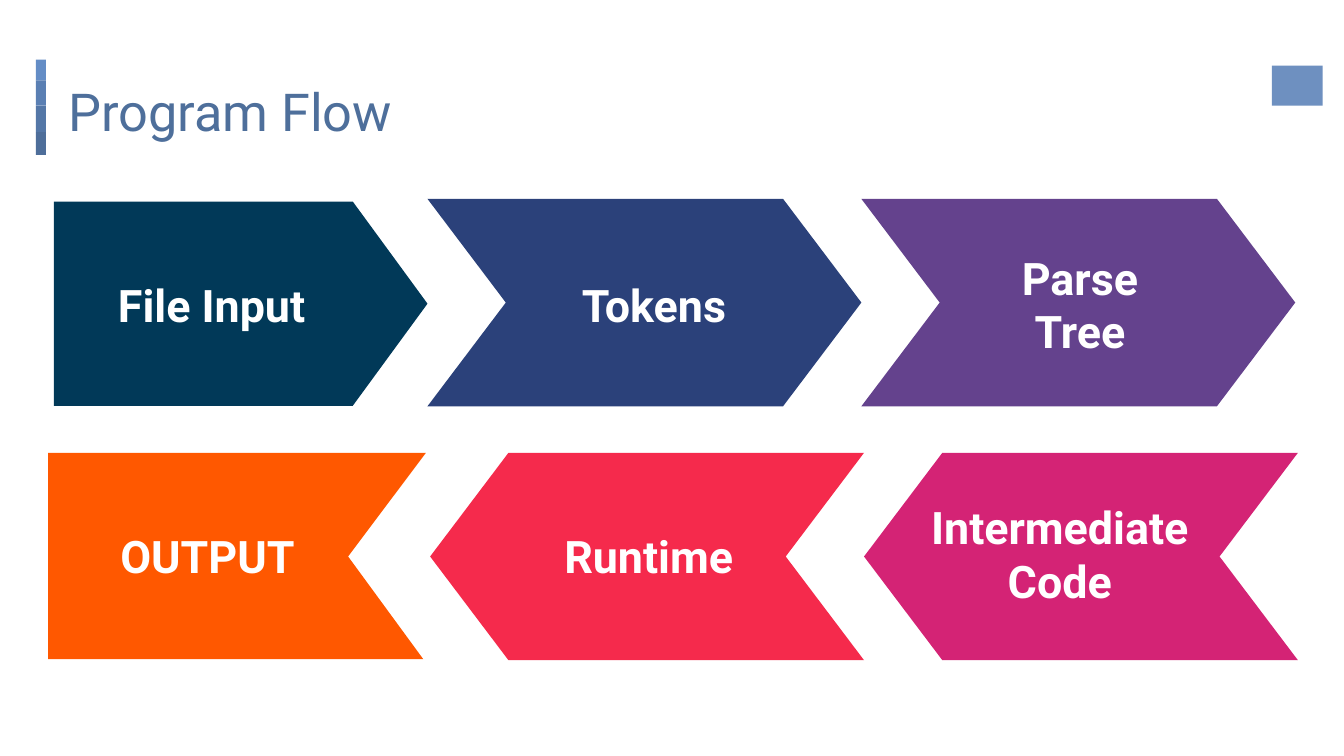
from dataclasses import dataclass

from pptx import Presentation
from pptx.dml.color import RGBColor
from pptx.enum.shapes import MSO_SHAPE as Shape
from pptx.enum.text import MSO_ANCHOR as Anchor, PP_ALIGN as Align
from pptx.util import Cm, Pt


@dataclass(frozen=True)
class Theme:
    font: str = "Roboto"
    title_size: int = 28
    label_size: int = 24
    title: str = "4E6F9B"
    label: str = "FFFFFF"
    mark: str = "6E90C0"


THEME = Theme()
TITLE = "Program Flow"

# Lengths are in centimetres.
BARS = [(1.13, 1.52, "648DC6"), (1.52, 2.0, "5A7FB3"),
        (2.0, 2.5, "5477A7"), (2.5, 2.93, "4E6E9A")]
CHEVRON_WIDTH, CHEVRON_HEIGHT, NOTCH = 8.2, 3.92, 1.48
TOP_ROW = {"left": 8.08, "top": 3.76, "points_right": True,
           "colors": ["2B417A", "64428D"]}
BOTTOM_ROW = {"left": 8.13, "top": 8.56, "points_right": False,
              "colors": ["F52A4C", "D42375"]}
INPUT = {"left": 1.02, "top": 3.81, "width": 7.06, "height": 3.86, "color": "013958"}
OUTPUT = {"points": [(8.05, 8.56), (6.58, 10.52), (8.0, 12.46), (0.91, 12.46), (0.91, 8.56)],
          "color": "FF5800"}
LABEL_WIDTH, LABEL_HEIGHT = 4.45, 1.6
LABELS = [  # text, centre x, centre y, width
    ("File Input", 4.0, 5.75, LABEL_WIDTH),
    ("Tokens", 12.36, 5.75, LABEL_WIDTH),
    ("Parse Tree", 20.41, 5.75, LABEL_WIDTH),
    ("Intermediate Code", 20.03, 10.46, 5.87),
    ("Runtime", 12.26, 10.5, LABEL_WIDTH),
    ("OUTPUT", 3.92, 10.5, LABEL_WIDTH),
]


def paint(shape, color):
    shape.shadow.inherit = False
    shape.fill.solid()
    shape.fill.fore_color.rgb = RGBColor.from_string(color)
    shape.line.fill.background()


def add_preset(slide, kind, left, top, width, height, color):
    shape = slide.shapes.add_shape(kind, Cm(left), Cm(top), Cm(width), Cm(height))
    paint(shape, color)
    return shape


def add_polygon(slide, points, color):
    corners = [(Cm(x), Cm(y)) for x, y in points]
    builder = slide.shapes.build_freeform(*corners[0], scale=1.0)
    builder.add_line_segments(corners[1:], close=True)
    paint(builder.convert_to_shape(), color)


def add_chevron_row(slide, left, top, points_right, colors):
    """Draw chevrons side by side, mirrored when they point left."""
    outline = [(0, 0), (CHEVRON_WIDTH - NOTCH, 0), (CHEVRON_WIDTH, CHEVRON_HEIGHT / 2),
               (CHEVRON_WIDTH - NOTCH, CHEVRON_HEIGHT), (0, CHEVRON_HEIGHT),
               (NOTCH, CHEVRON_HEIGHT / 2)]
    if not points_right:
        outline = [(CHEVRON_WIDTH - x, y) for x, y in outline]
    for index, color in enumerate(colors):
        start = left + index * CHEVRON_WIDTH
        add_polygon(slide, [(start + x, top + y) for x, y in outline], color)


def add_text(slide, text, left, top, width, height, size, color,
             bold=False, align=Align.LEFT, anchor=Anchor.TOP):
    box = slide.shapes.add_textbox(Cm(left), Cm(top), Cm(width), Cm(height))
    frame = box.text_frame
    frame.word_wrap = True
    frame.vertical_anchor = anchor
    frame.margin_left = frame.margin_right = Cm(0.25)
    frame.margin_top = frame.margin_bottom = Cm(0.25)
    frame.text = text
    para = frame.paragraphs[0]
    para.alignment = align
    font = para.runs[0].font
    font.name, font.size, font.bold = THEME.font, Pt(size), bold
    font.color.rgb = RGBColor.from_string(color)


def main():
    deck = Presentation()
    deck.slide_width, deck.slide_height = Cm(25.4), Cm(14.29)
    slide = deck.slides.add_slide(deck.slide_layouts[6])

    for top, bottom, color in BARS:
        add_preset(slide, Shape.RECTANGLE, 0.68, top, 0.19, bottom - top, color)
    add_preset(slide, Shape.RECTANGLE, 24.04, 1.24, 0.96, 0.76, THEME.mark)
    add_text(slide, TITLE, 1.04, 1.24, 23.5, 1.6, THEME.title_size, THEME.title)

    # The connector preset points down, so its sides swap when it is turned to the right.
    width, height = INPUT["height"], INPUT["width"]
    banner = add_preset(slide, Shape.FLOWCHART_OFFPAGE_CONNECTOR,
                        INPUT["left"] + (height - width) / 2,
                        INPUT["top"] + (width - height) / 2,
                        width, height, INPUT["color"])
    banner.rotation = 270
    add_chevron_row(slide, **TOP_ROW)
    add_chevron_row(slide, **BOTTOM_ROW)
    add_polygon(slide, OUTPUT["points"], OUTPUT["color"])

    for text, center_x, center_y, width in LABELS:
        add_text(slide, text, center_x - width / 2, center_y - LABEL_HEIGHT / 2,
                 width, LABEL_HEIGHT, THEME.label_size, THEME.label,
                 bold=True, align=Align.CENTER, anchor=Anchor.MIDDLE)

    deck.save("out.pptx")


if __name__ == "__main__":
    main()
